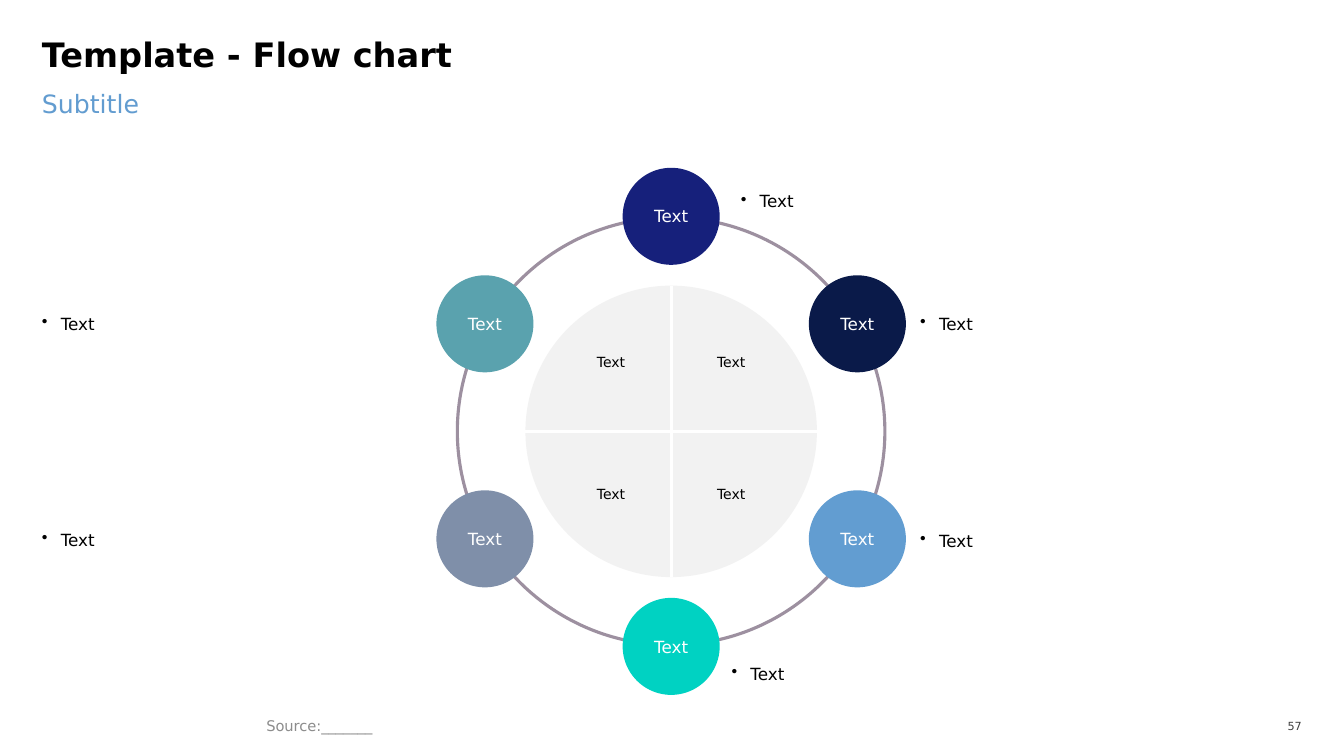
from dataclasses import dataclass
from math import cos, radians, sin

from lxml import etree
from pptx import Presentation
from pptx.dml.color import RGBColor
from pptx.enum.shapes import MSO_CONNECTOR, MSO_SHAPE
from pptx.enum.text import MSO_ANCHOR, MSO_AUTO_SIZE, PP_ALIGN
from pptx.oxml.ns import qn
from pptx.util import Inches, Pt

OVAL, LINE = MSO_SHAPE.OVAL, MSO_CONNECTOR.STRAIGHT
TOP, MIDDLE = MSO_ANCHOR.TOP, MSO_ANCHOR.MIDDLE
LEFT, CENTER, RIGHT = PP_ALIGN.LEFT, PP_ALIGN.CENTER, PP_ALIGN.RIGHT
FIXED = MSO_AUTO_SIZE.NONE

# The slide is a grid of square cells.
COLS, ROWS = 32, 18
CELL = Inches(7.5) / ROWS
FONT = "DejaVu Sans"
COLORS = {
    "black": "000000", "white": "FFFFFF", "sky": "629CD0", "note": "8C8C8C",
    "page": "404040", "ring": "9D90A0", "hub": "F2F2F2",
    "indigo": "16207B", "navy": "0A1A49", "blue": "629DD1",
    "mint": "00D2C2", "slate": "7F8FA9", "teal": "5AA2AE",
}

MID_X, MID_Y = 15.98, 10.27
RING, ORBIT, HUB, NODE = 5.09, 5.12, 3.47, 1.155
LINE_PT = 2.25
LABEL_W, LABEL_H, LABEL_DX, LABEL_DY, LABEL_Y = 2.31, 0.41, 1.43, 1.58, 10.19
NOTE_W, NOTE_H, INDENT = 9.12, 0.5, 0.45


@dataclass
class Box:
    x: float
    y: float
    w: float
    h: float


@dataclass
class Style:
    size: float
    color: str = "black"
    align: PP_ALIGN = LEFT
    anchor: MSO_ANCHOR = MIDDLE
    bold: bool = False


@dataclass
class Step:
    """One circle on the ring, with the corner of its bullet note."""
    color: str
    x: float
    y: float


STEPS = [
    Step("indigo", 17.64, 4.54), Step("navy", 21.91, 7.46),
    Step("blue", 21.91, 12.62), Step("mint", 17.42, 15.79),
    Step("slate", 1, 12.6), Step("teal", 1, 7.46),
]


def grid(n: float) -> int:
    return round(n * CELL)


def rgb(name: str) -> RGBColor:
    return RGBColor.from_string(COLORS[name])


def write(shape, text: str, style: Style) -> None:
    frame = shape.text_frame
    frame.text = text
    frame.word_wrap, frame.auto_size = True, FIXED
    frame.vertical_anchor = style.anchor
    frame.margin_left = frame.margin_right = 0
    frame.margin_top = frame.margin_bottom = 0
    para = frame.paragraphs[0]
    para.alignment = style.align
    font = para.runs[0].font
    font.name, font.size, font.bold = FONT, Pt(style.size), style.bold
    font.color.rgb = rgb(style.color)


def add_text(shapes, box: Box, text: str, style: Style):
    shape = shapes.add_textbox(*map(grid, (box.x, box.y, box.w, box.h)))
    write(shape, text, style)
    return shape


def add_note(shapes, step: Step) -> None:
    box = Box(step.x, step.y, NOTE_W, NOTE_H)
    shape = add_text(shapes, box, "Text", Style(12))
    props = shape.text_frame.paragraphs[0]._p.get_or_add_pPr()
    props.set("marL", str(grid(INDENT)))
    props.set("indent", str(-grid(INDENT)))
    etree.SubElement(props, qn("a:buChar")).set("char", "•")


def add_disc(shapes, x: float, y: float, radius: float, fill: str = "",
             line: str = ""):
    """Draw a circle around the point x, y."""
    disc = shapes.add_shape(OVAL, grid(x - radius), grid(y - radius),
                            grid(2 * radius), grid(2 * radius))
    disc.shadow.inherit = False
    if fill:
        disc.fill.solid()
        disc.fill.fore_color.rgb = rgb(fill)
    else:
        disc.fill.background()
    if line:
        disc.line.color.rgb = rgb(line)
        disc.line.width = Pt(LINE_PT)
    else:
        disc.line.fill.background()
    return disc


def add_split(shapes, dx: float, dy: float) -> None:
    """Draw a white line across the hub."""
    ends = (MID_X + dx, MID_Y + dy, MID_X - dx, MID_Y - dy)
    line = shapes.add_connector(LINE, *map(grid, ends))
    line.line.color.rgb = rgb("white")
    line.line.width = Pt(LINE_PT)
    etree.SubElement(line._element.spPr, qn("a:effectLst"))


def add_wheel(shapes) -> None:
    add_disc(shapes, MID_X, MID_Y, RING, line="ring")
    add_disc(shapes, MID_X, MID_Y, HUB, fill="hub")
    for i, step in enumerate(STEPS):
        turn = radians(i * 360 / len(STEPS))
        x, y = MID_X + ORBIT * sin(turn), MID_Y - ORBIT * cos(turn)
        node = add_disc(shapes, x, y, NODE, fill=step.color)
        write(node, "Text", Style(12, "white", CENTER))
    add_split(shapes, 0, HUB)
    add_split(shapes, HUB, 0)
    for dy in (-LABEL_DY, LABEL_DY):
        for dx in (LABEL_DX, -LABEL_DX):
            box = Box(MID_X + dx - LABEL_W / 2, LABEL_Y + dy - LABEL_H / 2,
                      LABEL_W, LABEL_H)
            add_text(shapes, box, "Text", Style(10, align=CENTER))


def add_title(slide) -> None:
    title = slide.shapes.title
    title.left, title.top = grid(1), grid(1)
    title.width, title.height = grid(30), grid(1.27)
    write(title, "Template - Flow chart", Style(24, anchor=TOP, bold=True))
    title.text_frame.paragraphs[0].line_spacing = 0.8


def main() -> None:
    deck = Presentation()
    deck.slide_width, deck.slide_height = grid(COLS), grid(ROWS)
    slide = deck.slides.add_slide(deck.slide_layouts[5])
    shapes = slide.shapes
    add_title(slide)
    add_text(shapes, Box(1, 2.11, 30, 1.51), "Subtitle",
             Style(18, "sky", anchor=TOP))
    add_text(shapes, Box(6.34, 16.97, 14.86, 0.62), "Source:_______",
             Style(10.5, "note"))
    add_text(shapes, Box(30, 17.02, 1, 0.55), "57",
             Style(8, "page", RIGHT))
    for step in STEPS:
        add_note(shapes, step)
    add_wheel(shapes.add_group_shape().shapes)
    deck.save("out.pptx")


if __name__ == "__main__":
    main()
